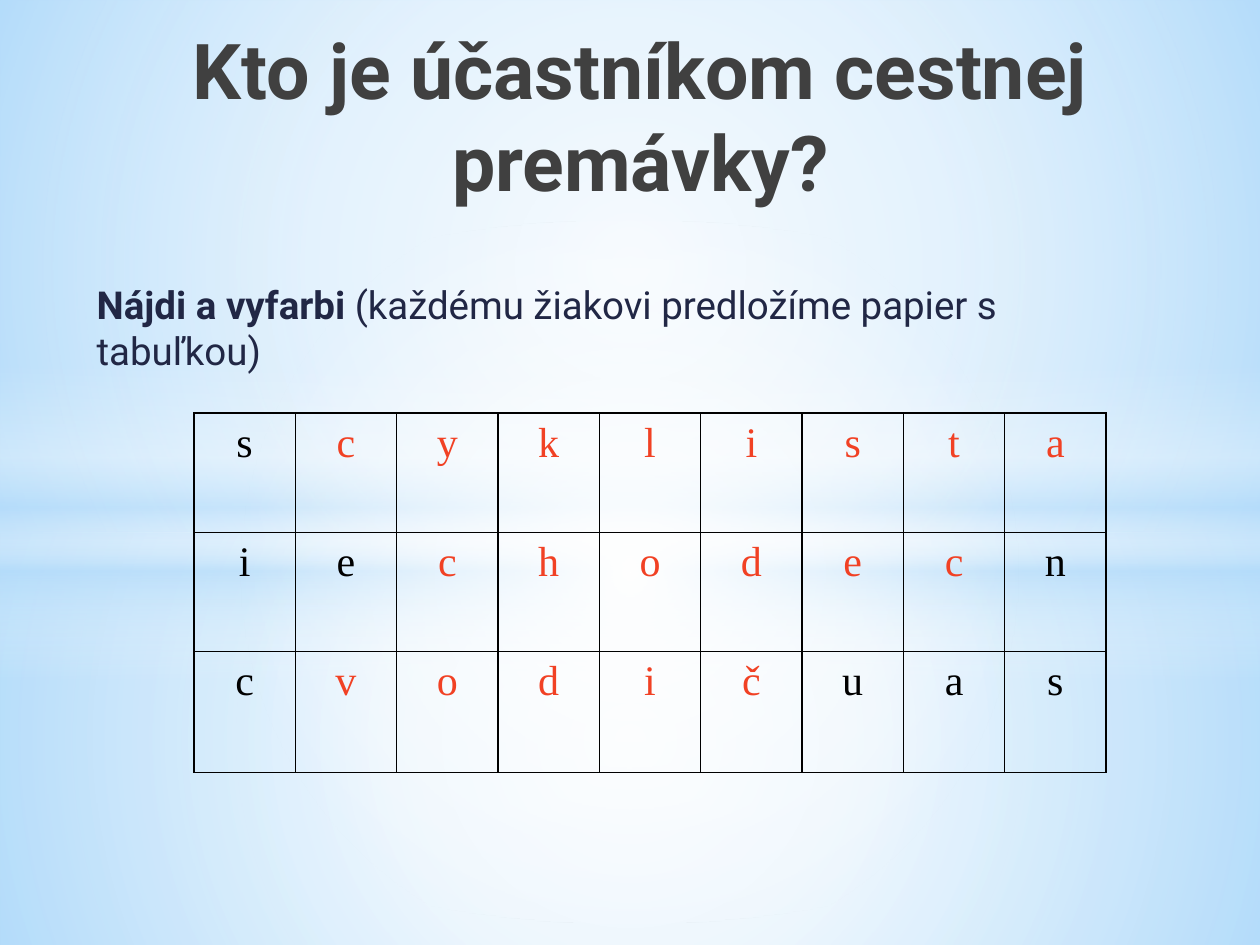
from lxml import etree
from pptx import Presentation
from pptx.dml.color import RGBColor
from pptx.enum import shapes, text
from pptx.oxml import ns
from pptx.util import Cm, Pt

INK, RED, SKY, WHITE = "000000", "F14124", "B4DCFA", "FFFFFF"
ROWS = ["scyklista", "iechodecn", "cvodičuas"]
WORDS = ["cyklista", "chodec", "vodič"]
ROUND = ("path", {"path": "circle"})
DOWN = ("lin", {"ang": "5400000", "scaled": "0"})


def tint(code):
    return RGBColor.from_string(code)


def sub(root, tag, **attrs):
    return etree.SubElement(root, ns.qn("a:" + tag), attrs)


def glow(slide, kind, top, height, stops, mode):
    """Full-width shape with a gradient of (place, colour, opacity) stops."""
    shape = slide.shapes.add_shape(kind, 0, Cm(top), Cm(25.4), Cm(height))
    shape.shadow.inherit = False
    shape.line.fill.background()
    shape.fill.background()
    blank = shape._element.spPr.find(ns.qn("a:noFill"))
    grad = etree.Element(ns.qn("a:gradFill"), rotWithShape="1")
    blank.getparent().replace(blank, grad)
    steps = sub(grad, "gsLst")
    for place, code, alpha in stops:
        stop = sub(steps, "gs", pos=str(place * 1000))
        sub(sub(stop, "srgbClr", val=code), "alpha", val=str(alpha * 1000))
    tag, attrs = mode
    last = sub(grad, tag, **attrs)
    if tag == "path":
        sub(last, "fillToRect", **dict.fromkeys("ltrb", "50000"))


def label(slide, left, top, width, height, size, code, runs):
    """Text box of (wording, bold) runs; gives back its paragraph."""
    box = slide.shapes.add_textbox(Cm(left), Cm(top), Cm(width), Cm(height))
    box.text_frame.word_wrap = True
    para = box.text_frame.paragraphs[0]
    for words, bold in runs:
        run = para.add_run()
        run.text, run.font.bold = words, bold
    font = para.font
    font.name, font.size, font.color.rgb = "Roboto", Pt(size), tint(code)
    return para


def edge(cell):
    props = cell._tc.get_or_add_tcPr()
    for spot, side in enumerate(("lnL", "lnR", "lnT", "lnB")):
        line = etree.Element(ns.qn("a:" + side), w=str(Pt(1)))
        sub(sub(line, "solidFill"), "srgbClr", val=INK)
        props.insert(spot, line)


def letter(cell, char, code):
    cell.fill.background()
    edge(cell)
    cell.margin_left = cell.margin_right = Cm(0.18)
    cell.margin_top = cell.margin_bottom = 0
    cell.text = char
    para = cell.text_frame.paragraphs[0]
    para.alignment, para.line_spacing = text.PP_ALIGN.CENTER, 1.15
    font = para.font
    font.name, font.size, font.color.rgb = "Times New Roman", Pt(24), tint(code)


def puzzle(slide):
    """Letter grid with the hidden word of each row in red."""
    frame = slide.shapes.add_table(len(ROWS), len(ROWS[0]), Cm(3.91), Cm(8.33),
                                   Cm(18.39), Cm(7.24))
    table = frame.table
    table.first_row = table.horz_banding = False
    for row, high in zip(table.rows, (2.4, 2.4, 2.44)):
        row.height = Cm(high)
    for r, (line, word) in enumerate(zip(ROWS, WORDS)):
        start = line.index(word)
        for c, char in enumerate(line):
            found = start <= c < start + len(word)
            letter(table.cell(r, c), char, RED if found else INK)


def backdrop(slide):
    fill = slide.background.fill
    fill.solid()
    fill.fore_color.rgb = tint(SKY)
    rect, oval = shapes.MSO_SHAPE.RECTANGLE, shapes.MSO_SHAPE.OVAL
    glow(slide, rect, 10.74, 8.31,
         [(0, WHITE, 91), (37, WHITE, 76), (100, SKY, 79)], ROUND)
    glow(slide, rect, 0, 10.74,
         [(0, WHITE, 89), (48, WHITE, 62), (100, SKY, 79)], ROUND)
    glow(slide, rect, 7.37, 6.35,
         [(0, WHITE, 0), (29, WHITE, 30), (45, SKY, 40),
          (55, WHITE, 26), (65, SKY, 60), (100, WHITE, 0)], DOWN)
    glow(slide, oval, 4.45, 14.17, [(0, WHITE, 100), (54, WHITE, 0)], ROUND)


def main():
    deck = Presentation()
    deck.slide_width, deck.slide_height = Cm(25.4), Cm(19.05)
    slide = deck.slides.add_slide(deck.slide_layouts[6])
    backdrop(slide)
    label(slide, 1.7, 5.54, 21.21, 10.8, 22, "212745",
          [("Nájdi a vyfarbi ", True),
           ("(každému žiakovi predložíme papier s tabuľkou)", False)])
    title = label(slide, 2.69, 0.33, 19.94, 4.98, 44, "404040",
                  [("Kto je účastníkom cestnej premávky?", True)])
    title.alignment = text.PP_ALIGN.CENTER
    title._p.get_or_add_pPr().set("marL", str(Cm(0.51)))
    puzzle(slide)
    deck.save("out.pptx")


if __name__ == "__main__":
    main()
